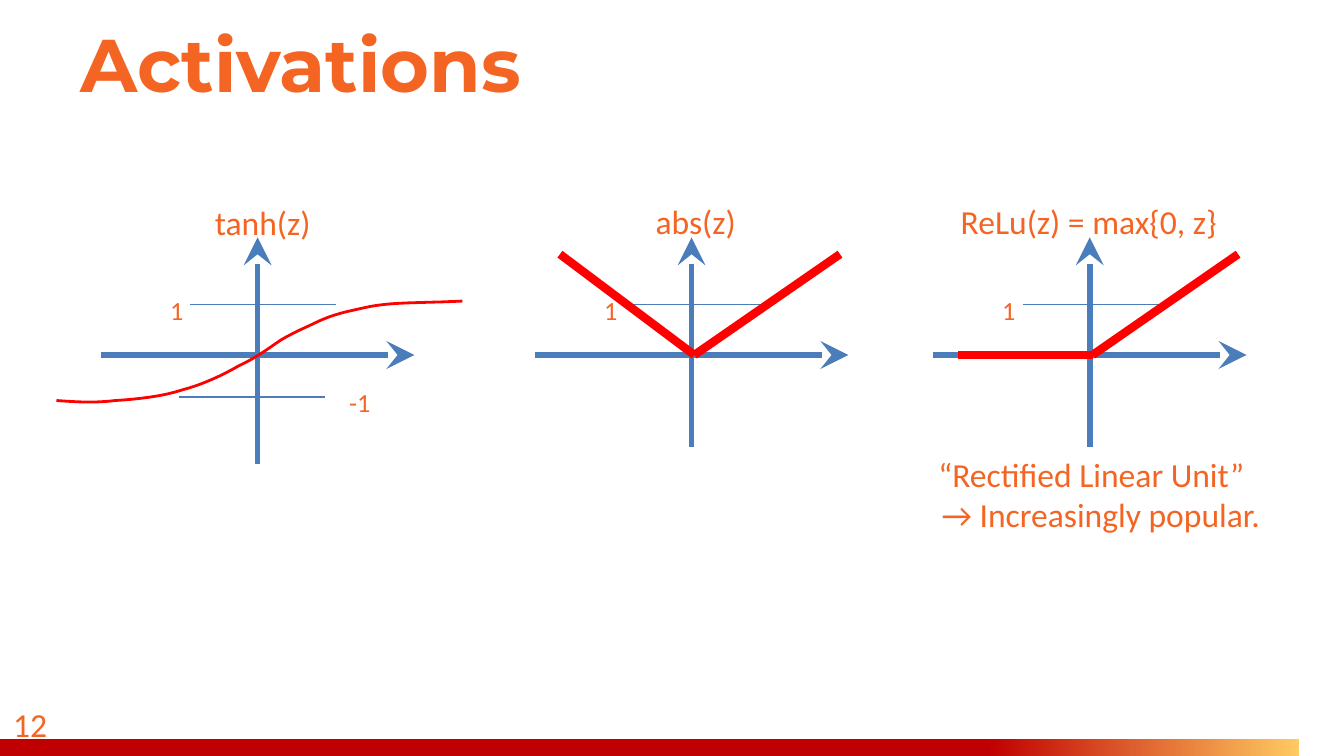
import pptx
import pptx.util
import pptx.dml.color
import pptx.enum.shapes
import pptx.enum.text
import pptx.oxml
import pptx.oxml.ns
from dataclasses import dataclass


@dataclass
class Theme:
    orange: str = "F46524"
    axis: str = "4A7DBA"
    curve: str = "FF0000"
    band_start: str = "C00000"
    band_end: str = "FFCA61"
    heading_font: str = "Montserrat"
    body_font: str = "Calibri"
    heading_size: int = 40
    body_size: int = 18
    tick_size: int = 14


theme = Theme()
rgb = pptx.dml.color.RGBColor.from_string
middle = pptx.enum.text.MSO_ANCHOR.MIDDLE
centre = pptx.enum.text.PP_ALIGN.CENTER

# Grid of 120 columns by 67.5 rows, each cell a twelfth of an inch
cell = pptx.util.Inches(1 / 12)
columns, rows = 120, 67.5

deck = pptx.Presentation()
deck.slide_width = int(columns * cell)
deck.slide_height = int(rows * cell)
slide = deck.slides.add_slide(deck.slide_layouts[6])


def write(lines, col, row, width, height, size=theme.body_size,
          font=theme.body_font, bold=False):
    """Place one paragraph per line and return the text frame."""
    box = slide.shapes.add_textbox(*(int(n * cell) for n in (col, row, width, height)))
    frame = box.text_frame
    frame.word_wrap = True
    frame.text = "\n".join(lines)
    for paragraph in frame.paragraphs:
        paragraph.font.name = font
        paragraph.font.size = pptx.util.Pt(size)
        paragraph.font.bold = bold
        paragraph.font.color.rgb = rgb(theme.orange)
    return frame


def draw_line(start, end, color, weight, arrow=False):
    """Connect two (column, row) points, with an optional arrowhead at the end."""
    line = slide.shapes.add_connector(
        pptx.enum.shapes.MSO_CONNECTOR.STRAIGHT, *(int(n * cell) for n in start + end))
    line.line.color.rgb = rgb(color)
    line.line.width = pptx.util.Pt(weight)
    properties = line._element.spPr
    if arrow:
        head = pptx.oxml.parse_xml(
            f'<a:tailEnd {pptx.oxml.ns.nsdecls("a")} type="stealth" w="lg" len="lg"/>')
        properties.find(pptx.oxml.ns.qn("a:ln")).append(head)
    properties.append(pptx.oxml.parse_xml(f'<a:effectLst {pptx.oxml.ns.nsdecls("a")}/>'))


# Footer band and page number
band = slide.shapes.add_shape(
    pptx.enum.shapes.MSO_SHAPE.RECTANGLE, 0, int(66 * cell), int(116 * cell), int(1.5 * cell))
band.shadow.inherit = False
band.line.fill.background()
band.fill.gradient()
band.fill.gradient_angle = 0
band_stops = [(0.76, theme.band_start), (1, theme.band_end)]
for stop, (position, color) in zip(band.fill.gradient_stops, band_stops):
    stop.position = position
    stop.color.rgb = rgb(color)
write(["12"], 0, 62.3, 6, 3.6)

# Heading
heading = write(["Activations"], 6, 0, 108, 11.25, theme.heading_size,
                theme.heading_font, True)
heading.vertical_anchor = middle

# Axes, unit tick and name of each function
axis_row, top_row, tick_row = 31.7, 21.2, 27.2
plots = [  # name, origin column, bottom of the vertical axis, name offset, row and width
    ("tanh(z)", 23, 41.4, -5, 17.4, 12),
    ("abs(z)", 61.75, 39.9, -4.4, 17.35, 10.5),
    ("ReLu(z) = max{0, z}", 97.3, 39.9, -12.7, 17.35, 26),
]
for name, origin, bottom_row, name_offset, name_row, name_width in plots:
    draw_line((origin - 14, axis_row), (origin + 14, axis_row), theme.axis, 3, True)
    draw_line((origin, bottom_row), (origin, top_row), theme.axis, 3, True)
    draw_line((origin - 6, tick_row), (origin + 7, tick_row), theme.axis, 0.75)
    write(["1"], origin - 9, 25.7, 4, 3, theme.tick_size)
    write([name], origin + name_offset, name_row, name_width, 3.6)

tanh_origin, abs_origin, relu_origin = (plot[1] for plot in plots)

# Lower bound of tanh
draw_line((tanh_origin - 7, 35.45), (tanh_origin + 6, 35.45), theme.axis, 0.75)
write(["-1"], tanh_origin + 7, 33.9, 5, 3, theme.tick_size)

# tanh curve: cubic segments in inches, sampled into short steps
tanh_start = (0.42, 2.98)
tanh_segments = [
    ((0.56, 2.99), (0.7, 3), (0.86, 2.98)),
    ((1.02, 2.97), (1.21, 2.95), (1.36, 2.9)),
    ((1.51, 2.86), (1.66, 2.79), (1.78, 2.72)),
    ((1.91, 2.66), (2, 2.59), (2.09, 2.53)),
    ((2.19, 2.47), (2.29, 2.43), (2.37, 2.39)),
    ((2.46, 2.35), (2.53, 2.33), (2.62, 2.31)),
    ((2.71, 2.29), (2.78, 2.27), (2.92, 2.26)),
    ((3.05, 2.25), (3.25, 2.25), (3.44, 2.24)),
]
steps = 8
tanh_points = [tanh_start]
for first, second, end in tanh_segments:
    knot = tanh_points[-1]
    for step in range(1, steps + 1):
        t = step / steps
        tanh_points.append(tuple(
            (1 - t) ** 3 * a + 3 * (1 - t) ** 2 * t * b + 3 * (1 - t) * t ** 2 * c + t ** 3 * d
            for a, b, c, d in zip(knot, first, second, end)))

# The outline takes whole numbers only, so its points are given in EMU
tanh_emu = [(int(pptx.util.Inches(x)), int(pptx.util.Inches(y))) for x, y in tanh_points]
outline = slide.shapes.build_freeform(*tanh_emu[0])
outline.add_line_segments(tanh_emu[1:], close=False)
tanh_curve = outline.convert_to_shape()
tanh_curve.shadow.inherit = False
tanh_curve.fill.background()
tanh_curve.line.color.rgb = rgb(theme.curve)
tanh_curve.line.width = pptx.util.Pt(1.5)

# abs and ReLu: a left arm that differs and a shared rising right arm
for origin, left_row in ((abs_origin, 22.7), (relu_origin, axis_row)):
    corner = (origin + 0.25, axis_row)
    draw_line((origin - 11.75, left_row), corner, theme.curve, 4.5)
    draw_line((origin + 13.25, 22.7), corner, theme.curve, 4.5)

# Remark under ReLu
remark = write(["“Rectified Linear Unit”", "→ Increasingly popular."], 82.6, 39.9, 31.4, 6.4)
remark.paragraphs[1].alignment = centre

deck.save("out.pptx")
